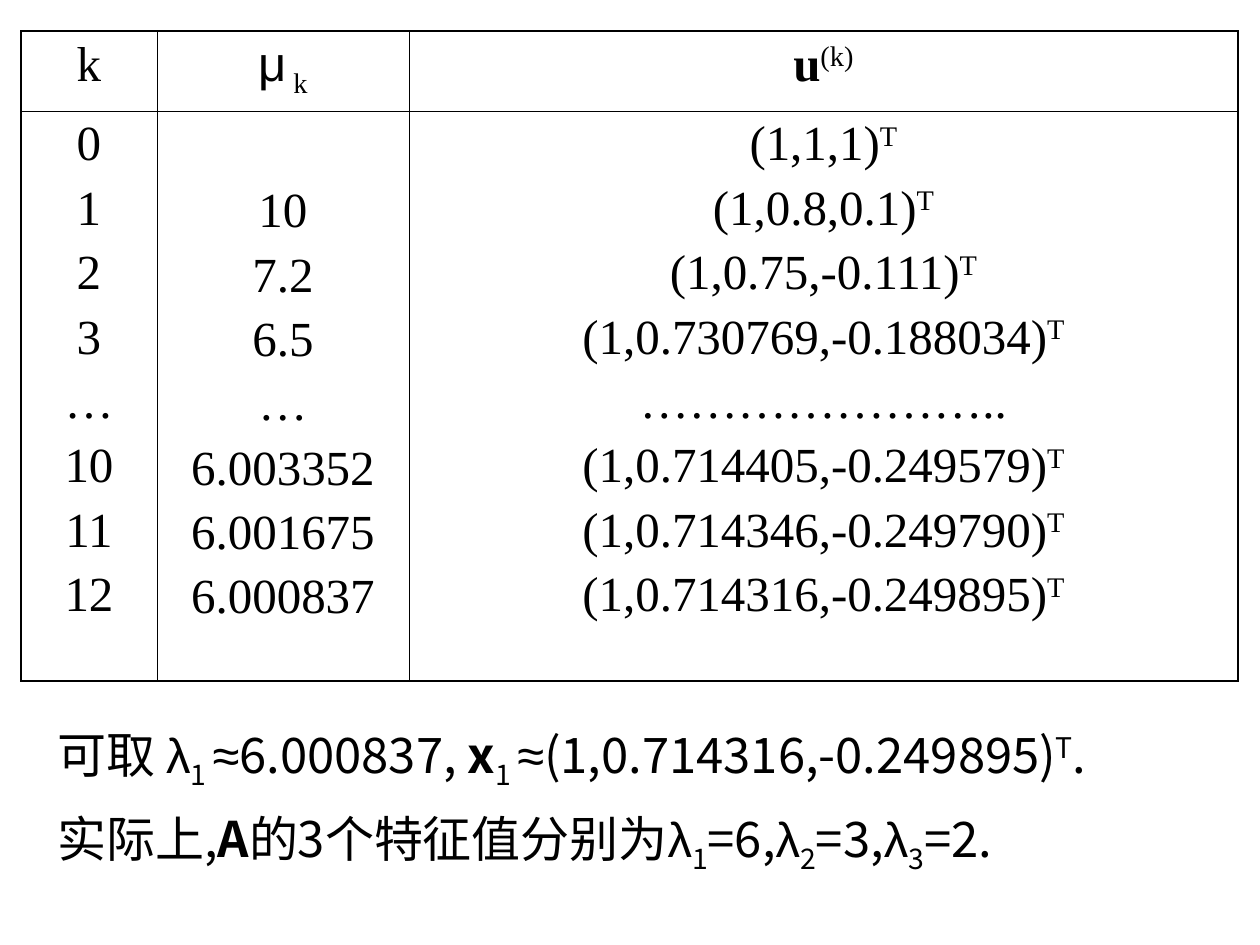
from dataclasses import dataclass, field

from lxml.etree import SubElement
from pptx import Presentation
from pptx.dml.color import RGBColor
from pptx.enum.text import PP_ALIGN as Align
from pptx.oxml.ns import qn
from pptx.util import Emu, Pt

SCALE = 914400 // 126
SERIF, SANS, CJK = "Times New Roman", "Arial", "Noto Sans CJK SC"


def px(length):
    return Emu(length * SCALE)


def color(code):
    return RGBColor.from_string(code)


def span(text, **style):
    return text, style


def sub(text, **style):
    return span(text, base=-25, **style)


def sup(text, **style):
    return span(text, base=30, **style)


@dataclass
class Page:
    """Draws text and tables on one slide in a shared style."""
    slide: object
    ink: str = "000000"
    size: int = 28
    thick: float = 1.08
    thin: float = 0.45
    centered: dict = field(default_factory=lambda: {"align": Align.CENTER, "before": 5.8})

    def fill_para(self, para, spans, font, align=Align.LEFT, before=0, spacing=None, indent=0):
        para.alignment = align
        para.space_before = Pt(before)
        if spacing:
            para.line_spacing = spacing
        if indent:
            props = para._p.get_or_add_pPr()
            props.set("marL", str(px(indent)))
            props.set("indent", "0")
        for text, style in spans:
            run = para.add_run()
            run.text = text
            face = run.font
            face.name = style.get("font", font)
            face.size = Pt(self.size)
            face.bold = style.get("bold", False)
            face.color.rgb = color(self.ink)
            props = run._r.get_or_add_rPr()
            SubElement(props, qn("a:ea")).set("typeface", face.name)
            if "base" in style:
                props.set("baseline", str(style["base"] * 1000))

    def border(self, cell, side, width):
        line = SubElement(cell._tc.get_or_add_tcPr(), qn(f"a:ln{side}"), w=str(Pt(width)))
        fill = SubElement(line, qn("a:solidFill"))
        SubElement(fill, qn("a:srgbClr"), val=self.ink)

    def table(self, left, top, widths, heights, cells):
        rows, cols = len(heights), len(widths)
        frame = self.slide.shapes.add_table(
            rows, cols, px(left), px(top), px(sum(widths)), px(sum(heights)))
        grid = frame.table
        grid.first_row = grid.horz_banding = False
        for column, width in zip(grid.columns, widths):
            column.width = px(width)
        for row, height in zip(grid.rows, heights):
            row.height = px(height)
        for r in range(rows):
            for c in range(cols):
                cell = grid.cell(r, c)
                outer = {"L": c == 0, "R": c == cols - 1, "T": r == 0, "B": r == rows - 1}
                for side, edge in outer.items():
                    self.border(cell, side, self.thick if edge else self.thin)
                cell.fill.background()
                self.lines(cell.text_frame, cells[r][c])
        return grid

    def lines(self, frame, lines):
        for i, spans in enumerate(lines):
            para = frame.add_paragraph() if i else frame.paragraphs[0]
            self.fill_para(para, spans, SERIF, **self.centered)

    def note(self, left, top, width, height, spans):
        box = self.slide.shapes.add_textbox(px(left), px(top), px(width), px(height))
        box.text_frame.word_wrap = True
        self.fill_para(box.text_frame.paragraphs[0], spans, CJK,
                       before=17.5, spacing=1.3, indent=45)


deck = Presentation()
deck.slide_width, deck.slide_height = px(1260), px(945)
page = Page(deck.slides.add_slide(deck.slide_layouts[6]))

steps = ["0", "1", "2", "3", "…", "10", "11", "12"]
values = ["10", "7.2", "6.5", "…", "6.003352", "6.001675", "6.000837"]
vectors = ["1,1,1", "1,0.8,0.1", "1,0.75,-0.111", "1,0.730769,-0.188034", None,
           "1,0.714405,-0.249579", "1,0.714346,-0.249790", "1,0.714316,-0.249895"]
header = [
    [[span("k")]],
    [[span("μ", font=SANS), sub(" k")]],
    [[span("u", bold=True), sup("(k)")]],
]
body = [
    [[span(step)] for step in steps],
    [[span(value)] for value in values],
    [[span(f"({vector})"), sup("T")] if vector else [span("…" * 7 + "..")]
     for vector in vectors],
]
iterations = page.table(21, 31, [136, 252, 829], [80, 570], [header, body])
iterations.cell(1, 1).margin_top = px(73)

symbol = {"font": SANS}
page.note(0, 698, 1260, 100, [
    span("可取 "), span("λ", **symbol), sub("1 "), span("≈", **symbol),
    span("6.000837, "), span("x", bold=True), sub("1 "), span("≈", **symbol),
    span("(1,0.714316,-0.249895)"), sup("T"), span("."),
])
eigenvalues = [part for index, value in (("1", "=6,"), ("2", "=3,"), ("3", "=2."))
               for part in (span("λ", **symbol), sub(index), span(value))]
page.note(0, 782, 1260, 100, [
    span("实际上,"), span("A", bold=True), span("的3个特征值分别为"), *eigenvalues,
])

deck.save("out.pptx")
